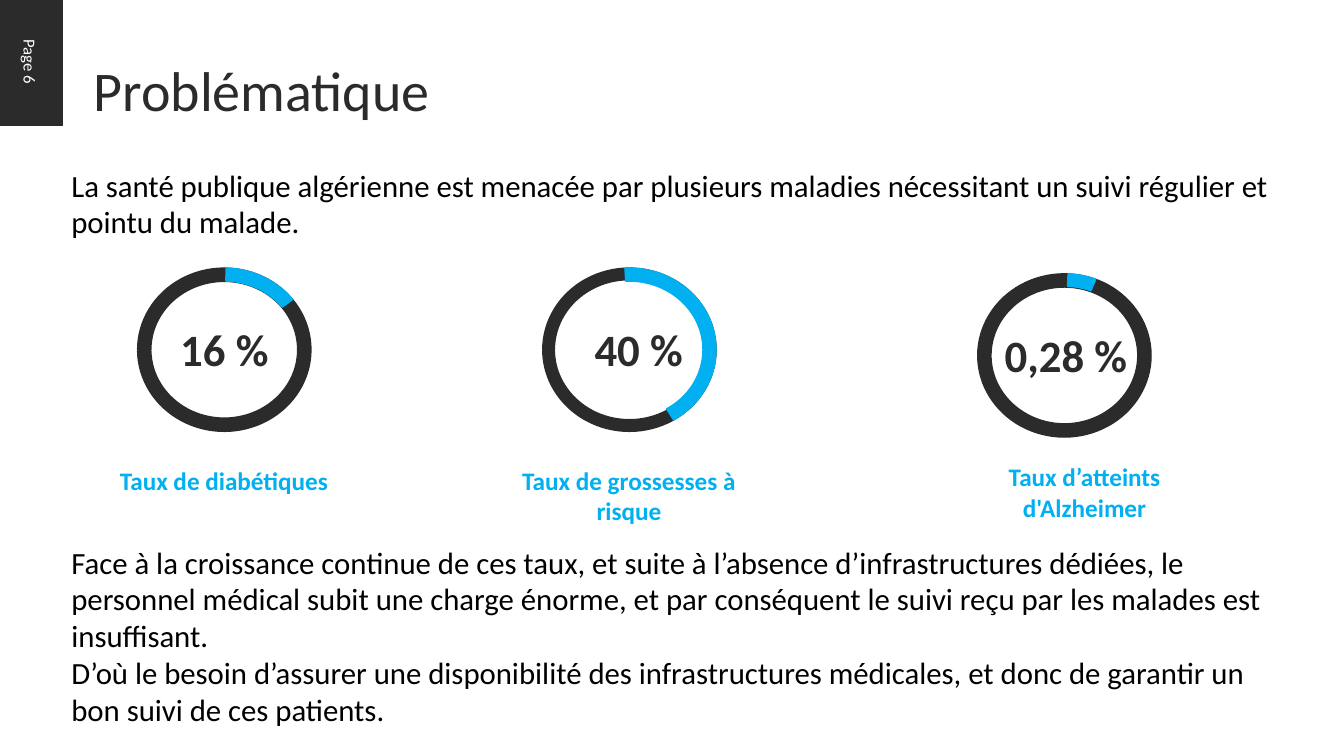
from pptx import Presentation
from pptx.dml.color import RGBColor
from pptx.enum.shapes import MSO_SHAPE
from pptx.enum.text import MSO_ANCHOR, PP_ALIGN
from pptx.util import Pt

DARK = RGBColor(0x2B, 0x2B, 0x2B)
BLUE = RGBColor(0x00, 0xB0, 0xF0)
BLACK = RGBColor(0, 0, 0)
WHITE = RGBColor(255, 255, 255)

prs = Presentation()
prs.slide_width, prs.slide_height = Pt(960), Pt(540)
s = prs.slides.add_slide(prs.slide_layouts[6])


def add_filled(kind, box, fill, line=None, width=1):
    sp = s.shapes.add_shape(kind, *map(Pt, box))
    sp.shadow.inherit = False
    sp.fill.solid()
    sp.fill.fore_color.rgb = fill
    if line is None:
        sp.line.fill.background()
    else:
        sp.line.color.rgb = line
        sp.line.width = Pt(width)
    return sp


def write(sp, paragraphs, size, color, bold=False, align=PP_ALIGN.LEFT, anchor=MSO_ANCHOR.TOP):
    tf = sp.text_frame
    tf.word_wrap = True
    tf.vertical_anchor = anchor
    tf.text = "\n".join(paragraphs)
    for p in tf.paragraphs:
        p.alignment = align
        p.font.name = "Calibri"
        p.font.size = Pt(size)
        p.font.bold = bold
        p.font.color.rgb = color


# Page tab
tab = add_filled(MSO_SHAPE.RECTANGLE, (-24.1, 21.1, 91.4, 46.1), DARK, DARK, 0.75)
tab.rotation = 90
write(tab, ["Page 6"], 12, WHITE, align=PP_ALIGN.CENTER, anchor=MSO_ANCHOR.MIDDLE)

# Title and body text
texts = [
    ((59.8, 36, 510.5, 55.4), 40, DARK, ["Problématique"]),
    ((43.9, 115.2, 888.5, 82), 22, BLACK, [
        "La santé publique algérienne est menacée par plusieurs maladies nécessitant "
        "un suivi régulier et pointu du malade."]),
    ((43.9, 384.5, 888.5, 162.7), 22, BLACK, [
        "Face à la croissance continue de ces taux, et suite à l’absence d’infrastructures "
        "dédiées, le personnel médical subit une charge énorme, et par conséquent le suivi "
        "reçu par les malades est insuffisant.",
        "D’où le besoin d’assurer une disponibilité des infrastructures médicales, et donc "
        "de garantir un bon suivi de ces patients."]),
]
for box, size, color, paragraphs in texts:
    write(s.shapes.add_textbox(*map(Pt, box)), paragraphs, size, color)

# Gauges: ring left and top, ring thickness, blue arc (start, end, thickness),
# value and its left and width, label and its left, top, height and alignment
gauges = [
    (98.3, 191.5, 0.081, (271.3, 323.71, 0.079), "16 %", 121.7, 93.6,
     "Taux de diabétiques", 78.5, 329, 28.8, PP_ALIGN.LEFT),
    (387.7, 191.5, 0.071, (266.88, 57.87, 0.08), "40 %", 417.6, 93.6,
     "Taux de grossesses à risque", 359.3, 329, 51.1, PP_ALIGN.CENTER),
    (698.4, 195.6, 0.081, (272.6, 292.37, 0.076), "0,28 %", 710.6, 112.3,
     "Taux d’atteints d'Alzheimer", 684.7, 326.2, 51.1, PP_ALIGN.CENTER),
]
for (x, y, thickness, blue_arc, value, value_x, value_w,
     label, label_x, label_y, label_h, align) in gauges:
    for color, (start, end, thick) in ((DARK, (180, 179.11, thickness)), (BLUE, blue_arc)):
        arc = add_filled(MSO_SHAPE.BLOCK_ARC, (x, y, 123.8, 116.6), color, color)
        # 1 degree is 60000 units, and adjustments count in 100000 units
        arc.adjustments[0] = start * 0.6
        arc.adjustments[1] = end * 0.6
        arc.adjustments[2] = thick
    write(s.shapes.add_textbox(Pt(value_x), Pt(y + 35.1), Pt(value_w), Pt(46.1)),
          [value], 32, DARK, bold=True)
    caption = add_filled(MSO_SHAPE.RECTANGLE, (label_x, label_y, 180, label_h), WHITE)
    write(caption, [label], 18, BLUE, bold=True, align=align)

prs.save("out.pptx")
